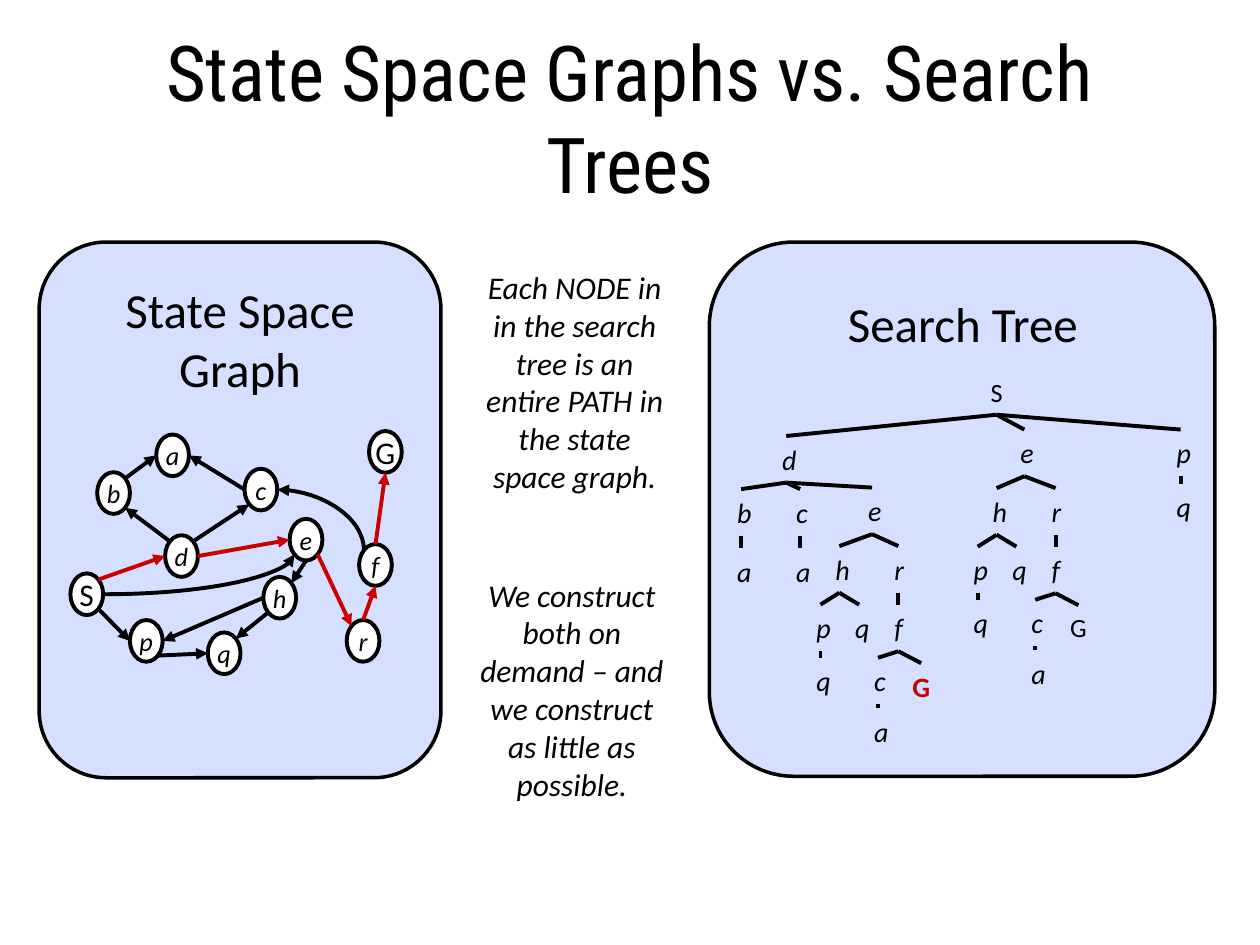
from dataclasses import dataclass
from math import cos, radians, sin

from lxml import etree
from pptx import Presentation
from pptx.dml.color import RGBColor
from pptx.enum.shapes import MSO_CONNECTOR, MSO_SHAPE
from pptx.enum.text import MSO_ANCHOR, PP_ALIGN
from pptx.oxml.ns import qn
from pptx.util import Cm, Pt

LINE = MSO_CONNECTOR.STRAIGHT
CURVE = MSO_CONNECTOR.CURVE
ROUND = MSO_SHAPE.ROUNDED_RECTANGLE
OVAL = MSO_SHAPE.FLOWCHART_CONNECTOR
MIDDLE = MSO_ANCHOR.MIDDLE
TOP = MSO_ANCHOR.TOP
CENTER = PP_ALIGN.CENTER


@dataclass(frozen=True)
class Theme:
    ink: RGBColor = RGBColor(0, 0, 0)
    hot: RGBColor = RGBColor(0xCC, 0, 0)
    panel: RGBColor = RGBColor(0xD5, 0xDF, 0xFF)
    white: RGBColor = RGBColor(0xFF, 0xFF, 0xFF)
    display: str = "Roboto Condensed"
    body: str = "Calibri"
    title: int = 44
    head: int = 28
    note: int = 18
    leaf: int = 16
    small: int = 15
    edge: float = 2.25
    frame: float = 2


@dataclass(frozen=True)
class Node:
    text: str
    x: float
    y: float
    kids: tuple = ()
    hot: bool = False


THEME = Theme()
OVAL_W, OVAL_H = 0.66, 0.84

STATES = {
    "S": (1.75, 11.98), "G": (7.77, 9.11), "d": (3.66, 11.21),
    "b": (2.29, 9.94), "p": (2.95, 12.92), "q": (4.52, 13.17),
    "c": (5.26, 9.87), "e": (6.17, 10.88), "h": (5.64, 12.05),
    "a": (3.48, 9.18), "f": (7.57, 11.39), "r": (7.32, 12.92),
}
MOVES = ["S5 p2", "p5 q2", "h3 q7", "h2 p6", "e4 h7",
         "d1 b5", "b7 a2", "c2 a6", "d7 c3"]
ROUTE = ["S7 d2", "d6 e2", "e5 r1", "r0 f4", "f0 G4"]


def fork(x, hot=False):
    chain = Node("c", -0.41, 1.07, (Node("a", 0, 1.02),))
    goal = Node("G", 0.46, 1.18, hot=hot)
    pair = (Node("p", -0.38, 1.18, (Node("q", 0, 1.07),)),
            Node("q", 0.4, 1.18))
    return (Node("h", x, 1.18, pair),
            Node("r", x + 1.19, 1.18, (Node("f", 0, 1.18, (chain, goal)),)))


def tree():
    left = (Node("b", -0.91, 1.07, (Node("a", 0, 1.19),)),
            Node("c", 0.28, 1.07, (Node("a", 0, 1.19),)),
            Node("e", 1.73, 1.04, fork(-0.66, True)))
    return Node("S", 20.09, 7.47, (
        Node("d", -4.24, 1.32, left),
        Node("e", 0.56, 1.19, fork(-0.56)),
        Node("p", 3.71, 1.19, (Node("q", 0, 1.09),))))


def write(frame, text, size, font=THEME.body, color=THEME.ink,
          slant=False, bold=False, anchor=TOP, wrap=True):
    frame.word_wrap = wrap
    frame.vertical_anchor = anchor
    para = frame.paragraphs[0]
    para.alignment = CENTER
    run = para.add_run()
    run.text = text
    run.font.size = Pt(size)
    run.font.name = font
    run.font.color.rgb = color
    run.font.italic = slant
    run.font.bold = bold


def label(shapes, box, text, size, **style):
    item = shapes.add_textbox(*map(Cm, box))
    write(item.text_frame, text, size, **style)


def block(shapes, kind, box, fill, width):
    item = shapes.add_shape(kind, *map(Cm, box))
    item.shadow.inherit = False
    item.fill.solid()
    item.fill.fore_color.rgb = fill
    item.line.color.rgb = THEME.ink
    item.line.width = Pt(width)
    return item


def edge(shapes, start, end, color=THEME.ink, tip=None, bend=False):
    item = shapes.add_connector(CURVE if bend else LINE,
                                *map(Cm, (*start, *end)))
    item.line.color.rgb = color
    item.line.width = Pt(THEME.edge)
    props = item._element.spPr
    if bend:
        props.find(qn("a:prstGeom")).set("prst", "curvedConnector2")
    if tip:
        etree.SubElement(props.find(qn("a:ln")), qn(tip), type="triangle")
    etree.SubElement(props, qn("a:effectLst"))


def site(name):
    x, y = STATES[name[0]]
    turn = radians(90 + 45 * int(name[1]))
    return x + OVAL_W / 2 * cos(turn), y - OVAL_H / 2 * sin(turn)


def graph(shapes):
    for name, (x, y) in STATES.items():
        box = (x - OVAL_W / 2, y - OVAL_H / 2, OVAL_W, OVAL_H)
        item = block(shapes, OVAL, box, THEME.white, THEME.edge)
        size = THEME.note if name.isupper() else THEME.small
        write(item.text_frame, name, size, slant=name.islower(),
              anchor=MIDDLE, wrap=False)
    for moves, color in ((MOVES, THEME.ink), (ROUTE, THEME.hot)):
        for move in moves:
            start, end = map(site, move.split())
            edge(shapes, start, end, color, "a:tailEnd")
    edge(shapes, site("c6"), site("f1"), tip="a:headEnd", bend=True)
    edge(shapes, site("S6"), site("e3"), tip="a:tailEnd", bend=True)


def grow(shapes, node, left=0, top=0):
    x, y = left + node.x, top + node.y
    big = node.text.isupper()
    plain = big and not node.hot
    wide, tall = (1.32 if big else 0.66), (0.89 if plain else 0.94)
    label(shapes, (x - wide / 2, y, wide, tall), node.text,
          THEME.small if plain else THEME.leaf,
          color=THEME.hot if node.hot else THEME.ink,
          slant=not big, bold=node.hot)
    for kid in node.kids:
        edge(shapes, (x, y + tall), (x + kid.x, y + kid.y))
        grow(shapes, kid, x, y)


def main():
    deck = Presentation()
    deck.slide_width, deck.slide_height = Cm(25.4), Cm(19.05)
    shapes = deck.slides.add_slide(deck.slide_layouts[6]).shapes
    for box in ((14.3, 4.88, 10.19, 10.77), (0.79, 4.88, 8.1, 10.8)):
        block(shapes, ROUND, box, THEME.panel, THEME.frame)
    label(shapes, (1.27, 0.76, 22.86, 3.18),
          "State Space Graphs vs. Search Trees",
          THEME.title, font=THEME.display, anchor=MIDDLE)
    grow(shapes, tree())
    graph(shapes.add_group_shape().shapes)
    label(shapes, (9.37, 11.48, 4.32, 4.88),
          "We construct both on demand – and we construct "
          "as little as possible.", THEME.note, slant=True)
    label(shapes, (9.53, 5.28, 4.11, 4.88),
          "Each NODE in in the search tree is an entire PATH "
          "in the state space graph.", THEME.note, slant=True)
    label(shapes, (14.33, 5.79, 10.16, 1.45), "Search Tree", THEME.head)
    label(shapes, (1.27, 5.51, 7.14, 2.64), "State Space Graph", THEME.head)
    deck.save("out.pptx")


if __name__ == "__main__":
    main()
